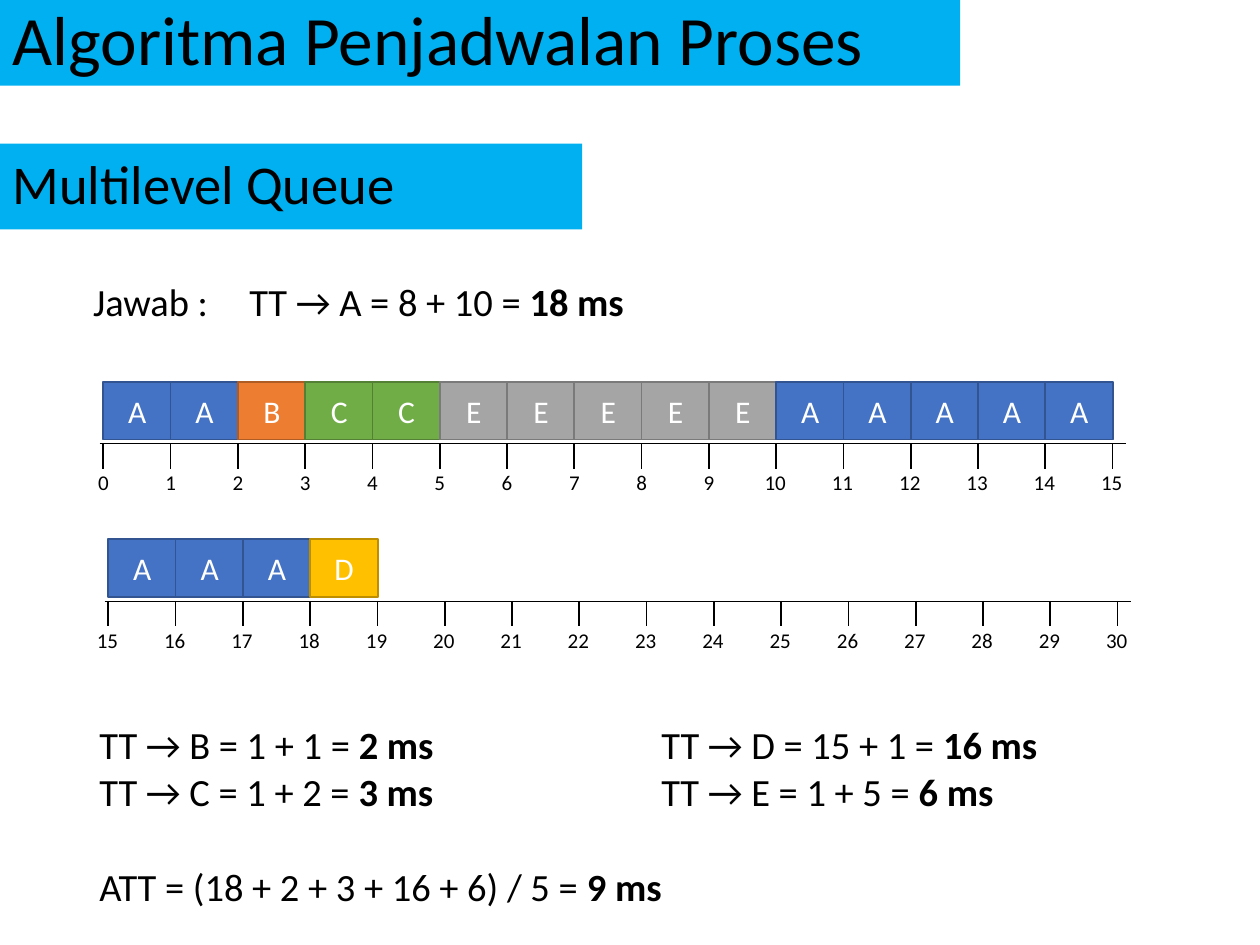
import pptx
import pptx.util
import pptx.dml.color
import pptx.enum.shapes
import pptx.enum.text
import pptx.oxml.ns
import lxml.etree

Inches = pptx.util.Inches
Pt = pptx.util.Pt
RGBColor = pptx.dml.color.RGBColor
ShapeType = pptx.enum.shapes.MSO_SHAPE
Align = pptx.enum.text.PP_ALIGN
Anchor = pptx.enum.text.MSO_ANCHOR
AutoSize = pptx.enum.text.MSO_AUTO_SIZE

THEME = {
    "font": "Calibri",
    "text": "000000",
    "cell_text": "FFFFFF",
    "banner": "00B0F0",
    "sizes": {"title": 39.6, "subtitle": 31.2, "body": 22, "cell": 18, "tick": 12},
    # Process name: (fill, outline)
    "process": {
        "A": ("4472C4", "325491"),
        "B": ("ED7D31", "AF5C24"),
        "C": ("70AD47", "538035"),
        "D": ("FFC000", "BD8E00"),
        "E": ("A5A5A5", "7A7A7A"),
    },
}


def write_text(shape, size, runs, color="text", frame_format=None, paragraph_format=None):
    """Fill a shape with one paragraph made of (text, bold) runs."""
    frame = shape.text_frame
    frame.word_wrap = True
    for name, value in (frame_format or {}).items():
        setattr(frame, name, value)
    paragraph = frame.paragraphs[0]
    for name, value in (paragraph_format or {}).items():
        setattr(paragraph, name, value)
    for text, bold in runs:
        run = paragraph.add_run()
        run.text = text
        font_format = {"name": THEME["font"], "size": Pt(THEME["sizes"][size]), "bold": bold}
        for name, value in font_format.items():
            setattr(run.font, name, value)
        run.font.color.rgb = RGBColor.from_string(THEME[color])


def add_line(shapes, start_x, start_y, end_x, end_y, width):
    """Draw a straight black line without a shadow."""
    line = shapes.add_connector(
        pptx.enum.shapes.MSO_CONNECTOR.STRAIGHT,
        Inches(start_x), Inches(start_y), Inches(end_x), Inches(end_y))
    line.line.color.rgb = RGBColor.from_string(THEME["text"])
    line.line.width = Pt(width)
    properties = line._element.find(pptx.oxml.ns.qn("p:spPr"))
    lxml.etree.SubElement(properties, pptx.oxml.ns.qn("a:effectLst"))


presentation = pptx.Presentation()
presentation.slide_width = Inches(10)
presentation.slide_height = Inches(7.5)
slide = presentation.slides.add_slide(presentation.slide_layouts[5])
shapes = slide.shapes

# Title and subtitle banners
title = shapes.title
title.left, title.top, title.width, title.height = (
    Inches(0), Inches(0), Inches(7.62), Inches(0.68))
subtitle = shapes.add_shape(
    ShapeType.RECTANGLE, Inches(0), Inches(1.14), Inches(4.62), Inches(0.68))
subtitle.shadow.inherit = False
subtitle.line.fill.background()
for banner, size, text in (
    (title, "title", "Algoritma Penjadwalan Proses"),
    (subtitle, "subtitle", "Multilevel Queue"),
):
    banner.fill.solid()
    banner.fill.fore_color.rgb = RGBColor.from_string(THEME["banner"])
    write_text(banner, size, [(text, False)],
               frame_format={"vertical_anchor": Anchor.MIDDLE, "auto_size": AutoSize.NONE},
               paragraph_format={"alignment": Align.LEFT, "line_spacing": 0.9})

# Gantt charts: left edge, axis height, first time unit, processes in order
UNIT = 0.534
UNITS_PER_ROW = 15
for left, axis_y, first_time, processes in (
    (0.82, 3.52, 0, "AABCCEEEEEAAAAA"),
    (0.86, 4.77, 15, "AAAD"),
):
    add_line(shapes, left - 0.03, axis_y, left + 8.12, axis_y, 0.5)

    # Ticks and time labels
    for step in range(UNITS_PER_ROW + 1):
        x = left + step * UNIT
        add_line(shapes, x, axis_y, x, axis_y + 0.2, 1)
        time = str(first_time + step)
        offset, width = (0.14, 0.33) if len(time) == 1 else (0.19, 0.4)
        label = shapes.add_textbox(
            Inches(x - offset), Inches(axis_y + 0.16), Inches(width), Inches(0.3))
        write_text(label, "tick", [(time, False)],
                   frame_format={"auto_size": AutoSize.SHAPE_TO_FIT_TEXT})

    # Process cells
    for step, process in enumerate(processes):
        fill, outline = THEME["process"][process]
        cell = shapes.add_shape(
            ShapeType.RECTANGLE, Inches(left + step * UNIT), Inches(axis_y - 0.49),
            Inches(0.54), Inches(0.46))
        cell.shadow.inherit = False
        cell.fill.solid()
        cell.fill.fore_color.rgb = RGBColor.from_string(fill)
        cell.line.color.rgb = RGBColor.from_string(outline)
        cell.line.width = Pt(1)
        write_text(cell, "cell", [(process, False)], color="cell_text",
                   frame_format={"vertical_anchor": Anchor.MIDDLE},
                   paragraph_format={"alignment": Align.CENTER})

# Turnaround times: left, top, width, formula, result
for left, top, width, formula, result in (
    (0.64, 2.16, 1.98, "Jawab :", ""),
    (1.88, 2.16, 4.45, "TT → A = 8 + 10 = ", "18 ms"),
    (0.69, 5.67, 3.87, "TT → B = 1 + 1 = ", "2 ms"),
    (0.69, 6.05, 3.72, "TT → C = 1 + 2 = ", "3 ms"),
    (5.15, 5.67, 3.69, "TT → D = 15 + 1 = ", "16 ms"),
    (5.15, 6.05, 4.17, "TT → E = 1 + 5 = ", "6 ms"),
    (0.69, 6.8, 5.84, "ATT = (18 + 2 + 3 + 16 + 6) / 5 = ", "9 ms"),
):
    answer = shapes.add_textbox(Inches(left), Inches(top), Inches(width), Inches(0.47))
    runs = [(formula, False)] + ([(result, True)] if result else [])
    write_text(answer, "body", runs,
               frame_format={"auto_size": AutoSize.SHAPE_TO_FIT_TEXT},
               paragraph_format={"alignment": Align.JUSTIFY})

presentation.save("out.pptx")
